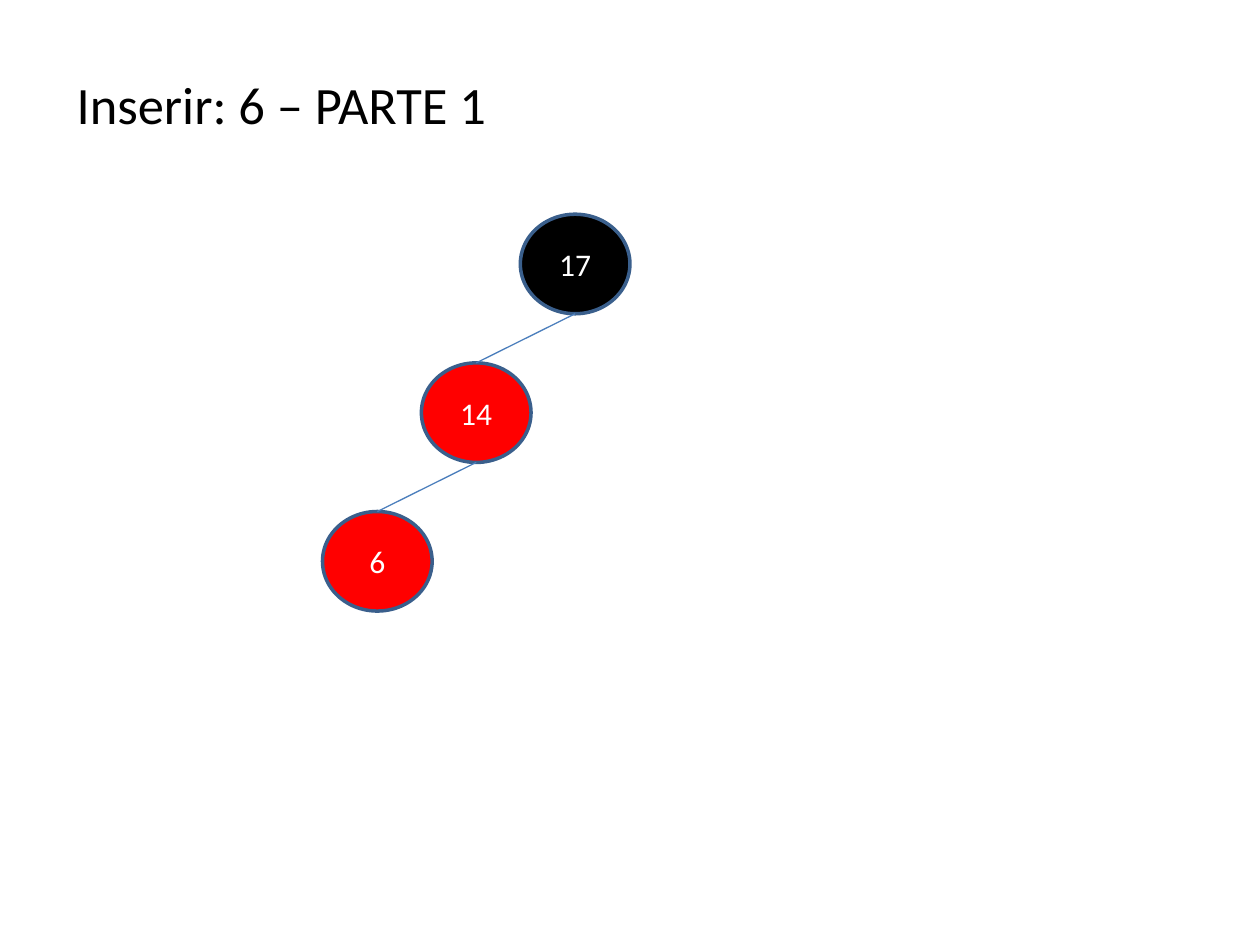
from lxml import etree
from pptx import Presentation
from pptx.dml.color import RGBColor
from pptx.enum.shapes import MSO_CONNECTOR, MSO_SHAPE
from pptx.enum.text import MSO_ANCHOR, PP_ALIGN
from pptx.oxml.ns import qn
from pptx.util import Inches, Pt

NODE_W, NODE_H = 0.87, 0.79
STEP_X, STEP_Y = 0.785, 1.18


def rgb(value):
    return RGBColor.from_string(value)


def write(sp, text, size=18, color="FFFFFF", align=PP_ALIGN.CENTER,
          anchor=MSO_ANCHOR.MIDDLE):
    tf = sp.text_frame
    tf.word_wrap = True
    tf.vertical_anchor = anchor
    p = tf.paragraphs[0]
    p.alignment = align
    r = p.add_run()
    r.text = text
    r.font.name = "Calibri"
    r.font.size = Pt(size)
    r.font.color.rgb = rgb(color)


def add_title(s, text, x, y, w, h):
    sp = s.shapes.add_textbox(Inches(x), Inches(y), Inches(w), Inches(h))
    write(sp, text, size=30, color="000000", align=PP_ALIGN.JUSTIFY,
          anchor=MSO_ANCHOR.TOP)


def add_node(s, key, fill, x, y):
    sp = s.shapes.add_shape(MSO_SHAPE.OVAL, Inches(x), Inches(y),
                            Inches(NODE_W), Inches(NODE_H))
    sp.shadow.inherit = False
    sp.fill.solid()
    sp.fill.fore_color.rgb = rgb(fill)
    sp.line.color.rgb = rgb("3A5F8C")
    sp.line.width = Pt(2)
    write(sp, key)
    return sp


def add_edge(s, parent, child):
    edge = s.shapes.add_connector(MSO_CONNECTOR.STRAIGHT, 0, 0, 0, 0)
    edge.begin_connect(parent, 2)
    edge.end_connect(child, 0)
    edge.line.color.rgb = rgb("4B7EBC")
    edge.line.width = Pt(0.75)
    etree.SubElement(edge._element.spPr, qn("a:effectLst"))


def add_left_branch(s, nodes, x, y):
    parent = None
    for level, (key, fill) in enumerate(nodes):
        node = add_node(s, key, fill, x - level * STEP_X, y + level * STEP_Y)
        if parent is not None:
            add_edge(s, parent, node)
        parent = node


prs = Presentation()
prs.slide_width, prs.slide_height = Inches(10), Inches(7.5)
s = prs.slides.add_slide(prs.slide_layouts[6])
add_title(s, "Inserir: 6 – PARTE 1", 0.51, 0.52, 6.69, 0.87)
add_left_branch(s, [("17", "000000"), ("14", "FF0000"), ("6", "FF0000")],
                4.13, 1.7)
prs.save("out.pptx")
